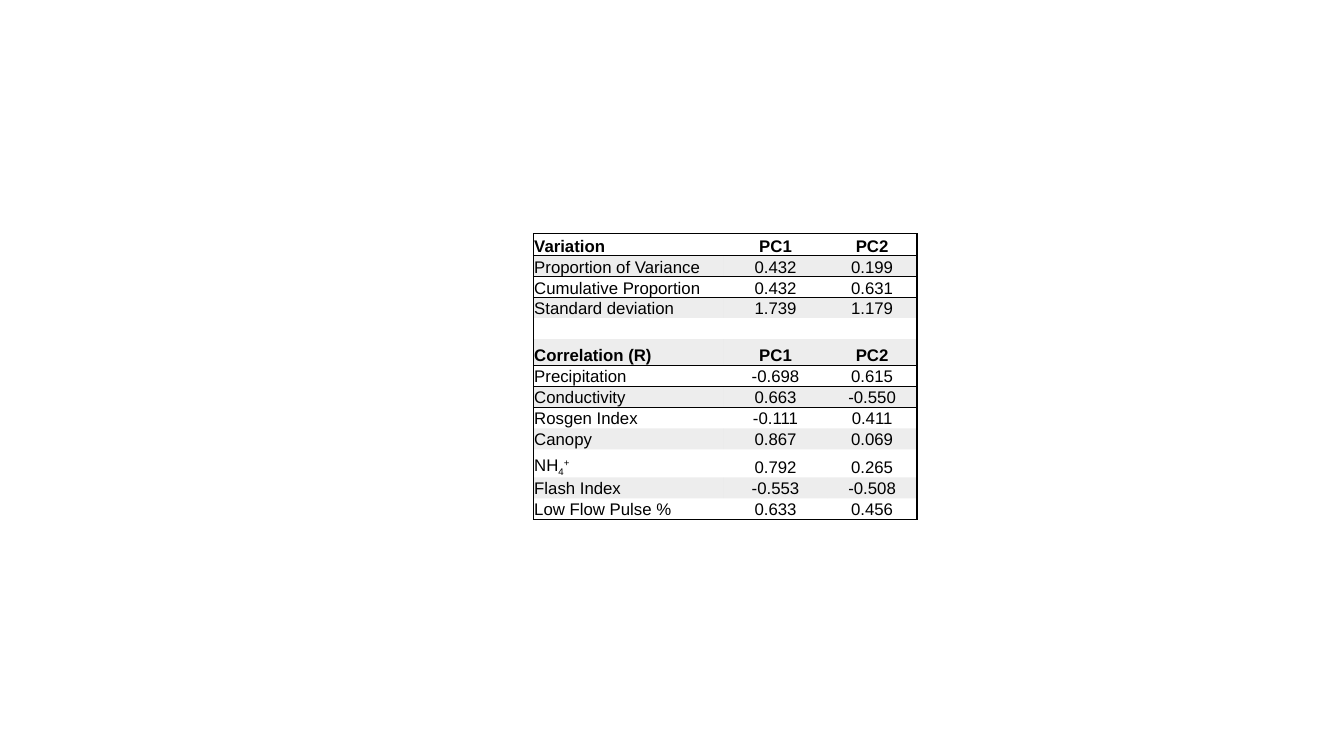
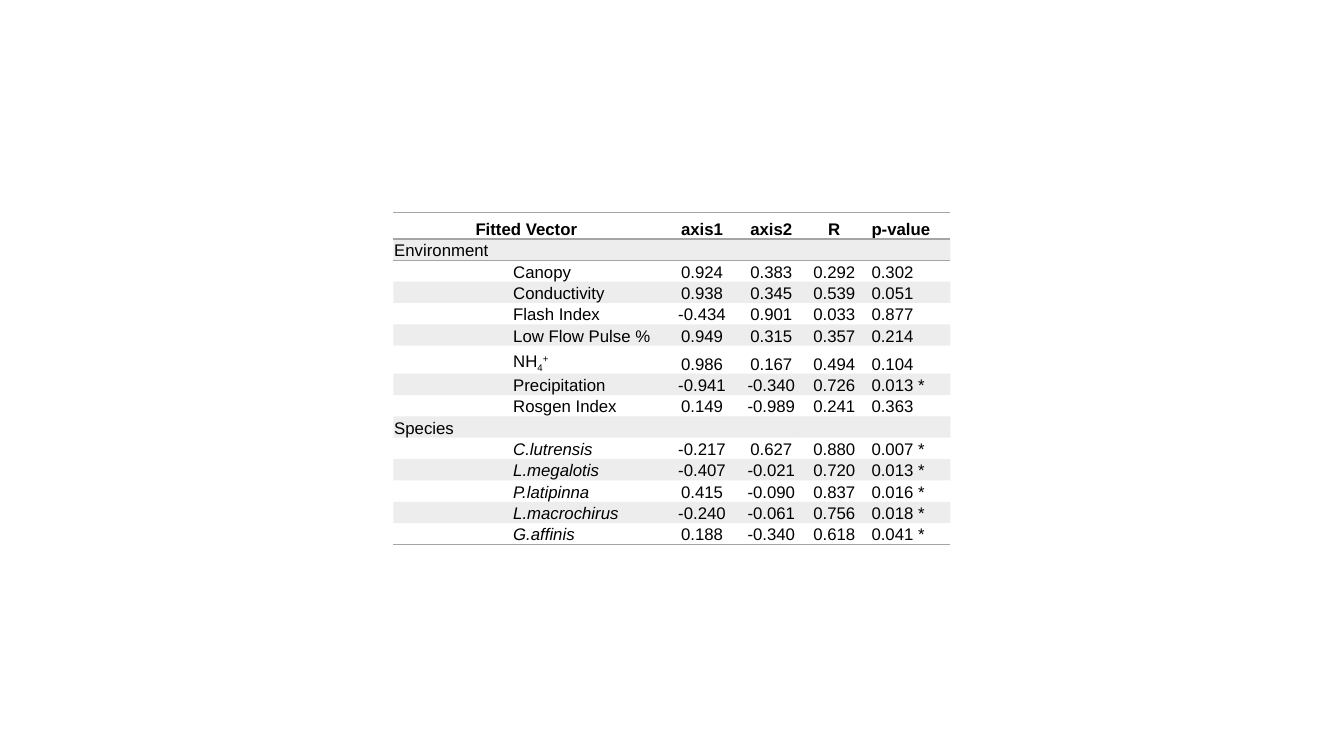
from lxml import etree
from pptx import Presentation
from pptx import util as u
from pptx.dml import color as dc
from pptx.enum import text as tx
from pptx.oxml import ns

HUES = {"ink": "000000", "gray": "A5A5A5"}
FONT = "Arial"
SIZE = 12
PLAIN = "{2D5ABB26-0587-4C30-8999-92F81FD0307C}"
ION = (("NH", 0), ("4", -25), ("+", 30))

PCA = [
    ("Variation", "PC1", "PC2"),
    ("Proportion of Variance", "0.432", "0.199"),
    ("Cumulative Proportion", "0.432", "0.631"),
    ("Standard deviation", "1.739", "1.179"),
    ("", "", ""),
    ("Correlation (R)", "PC1", "PC2"),
    ("Precipitation", "-0.698", "0.615"),
    ("Conductivity", "0.663", "-0.550"),
    ("Rosgen Index", "-0.111", "0.411"),
    ("Canopy", "0.867", "0.069"),
    (ION, "0.792", "0.265"),
    ("Flash Index", "-0.553", "-0.508"),
    ("Low Flow Pulse %", "0.633", "0.456"),
]

FIT = [
    ("Fitted Vector", "", "axis1", "axis2", "R", "p-value"),
    ("Environment", "", "", "", "", ""),
    ("", "Canopy", "0.924", "0.383", "0.292", "0.302"),
    ("", "Conductivity", "0.938", "0.345", "0.539", "0.051"),
    ("", "Flash Index", "-0.434", "0.901", "0.033", "0.877"),
    ("", "Low Flow Pulse %", "0.949", "0.315", "0.357", "0.214"),
    ("", ION, "0.986", "0.167", "0.494", "0.104"),
    ("", "Precipitation", "-0.941", "-0.340", "0.726", "0.013 *"),
    ("", "Rosgen Index", "0.149", "-0.989", "0.241", "0.363"),
    ("Species", "", "", "", "", ""),
    ("", "C.lutrensis", "-0.217", "0.627", "0.880", "0.007 *"),
    ("", "L.megalotis", "-0.407", "-0.021", "0.720", "0.013 *"),
    ("", "P.latipinna", "0.415", "-0.090", "0.837", "0.016 *"),
    ("", "L.macrochirus", "-0.240", "-0.061", "0.756", "0.018 *"),
    ("", "G.affinis", "0.188", "-0.340", "0.618", "0.041 *"),
]


def node(top, tag, **attrs):
    return etree.SubElement(top, ns.qn(tag), attrs)


def write(cell, words, bold=False, slant=False, mid=False):
    para = cell.text_frame.paragraphs[0]
    para.alignment = tx.PP_ALIGN.CENTER if mid else tx.PP_ALIGN.LEFT
    if not words:
        node(para._p, "a:endParaRPr", sz=str(SIZE * 100))
        return
    for part, base in ((words, 0),) if isinstance(words, str) else words:
        run = para.add_run()
        run.text = part
        font = run.font
        font.name, font.size = FONT, u.Pt(SIZE)
        font.bold, font.italic = bold, slant
        font.color.rgb = dc.RGBColor.from_string(HUES["ink"])
        if base:
            font._element.set("baseline", str(base * 1000))


def edge(cell, sides, hue):
    props = cell._tc.get_or_add_tcPr()
    for side in sides:
        line = node(props, "a:ln" + side, w=str(u.Pt(1)))
        node(node(line, "a:solidFill"), "a:srgbClr", val=HUES[hue])


def shade(cell, dark):
    if not dark:
        cell.fill.background()
        return
    cell.fill.solid()
    cell.fill.fore_color.rgb = dc.RGBColor.from_string(HUES["gray"])
    tint = cell._tc.tcPr.find(".//" + ns.qn("a:solidFill") + "[last()]")
    for fill in cell._tc.tcPr.findall(ns.qn("a:solidFill")):
        tint = fill
    node(tint[0], "a:alpha", val="20000")


def grid(slide, rows, left, top, wide, high, heads, rules, hue,
         mids, box=False, slant=()):
    last = len(wide) - 1
    frame = slide.shapes.add_table(len(rows), len(wide), u.Pt(left), u.Pt(top),
                                   u.Pt(sum(wide)), u.Pt(sum(high)))
    table = frame.table
    table.first_row = table.horz_banding = False
    table._tbl.tblPr.find(ns.qn("a:tableStyleId")).text = PLAIN
    for col, width in zip(table.columns, wide):
        col.width = u.Pt(width)
    for row, tall in zip(table.rows, high):
        row.height = u.Pt(tall)
    for r, row in enumerate(rows):
        for c, words in enumerate(row):
            cell = table.cell(r, c)
            cell.margin_left = cell.margin_right = cell.margin_top = u.Pt(0.6)
            cell.margin_bottom = 0
            cell.vertical_anchor = tx.MSO_ANCHOR.BOTTOM
            write(cell, words, bold=r in heads, slant=(r, c) in slant,
                  mid=c in mids)
            sides = [side for side, on in (("L", box and c == 0),
                                           ("R", box and c == last),
                                           ("T", r - 1 in rules),
                                           ("B", r in rules)) if on]
            edge(cell, sides, hue)
            shade(cell, r % 2)
    return table


def main():
    deck = Presentation()
    deck.slide_width, deck.slide_height = u.Pt(960), u.Pt(540)
    blank = deck.slide_layouts[6]

    grid(deck.slides.add_slide(blank), PCA, 381, 167, [136, 74, 64],
         [15.8, 15, 15, 14.3, 15, 18.7] + [15] * 4 + [20, 15, 15],
         heads=(0, 5), rules=(-1, 0, 1, 5, 6, 12), hue="ink",
         mids=(1, 2), box=True)

    fit = grid(deck.slides.add_slide(blank), FIT, 281, 152,
               [85, 105, 61, 38, 52, 57],
               [18.7, 14.3, 14.3] + [15] * 3 + [20] + [15] * 8,
               heads=(0,), rules=(-1, 0, 14), hue="gray", mids=(2, 3, 4),
               slant=[(r, 1) for r in range(10, 15)])
    title = fit.cell(0, 0)
    title.merge(fit.cell(0, 1))
    title.text_frame.paragraphs[0].alignment = tx.PP_ALIGN.CENTER

    deck.save("out.pptx")


if __name__ == "__main__":
    main()
